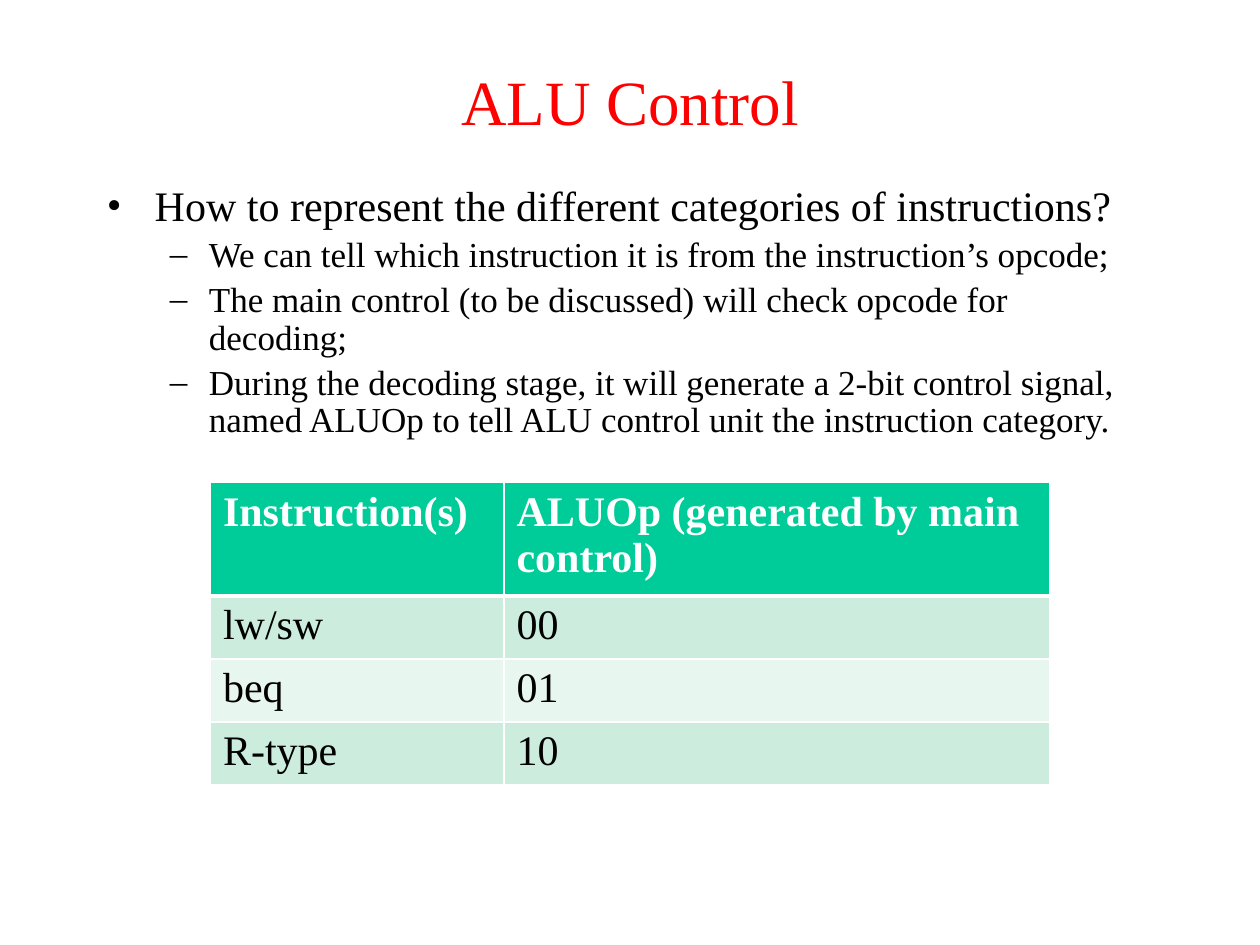
from dataclasses import dataclass

from lxml.etree import SubElement
from pptx import Presentation
from pptx.dml.color import RGBColor
from pptx.enum.text import MSO_ANCHOR, PP_ALIGN
from pptx.oxml.ns import qn
from pptx.slide import Slide
from pptx.table import _Cell
from pptx.text.text import TextFrame, _Paragraph
from pptx.util import Inches, Pt

FONT = "Times New Roman"
RED = RGBColor(0xFF, 0x00, 0x00)
BLACK = RGBColor(0x00, 0x00, 0x00)
WHITE = RGBColor(0xFF, 0xFF, 0xFF)
GREEN = RGBColor(0x00, 0xCC, 0x99)
BANDS = (RGBColor(0xE7, 0xF6, 0xEF), RGBColor(0xCC, 0xEC, 0xDE))

SLIDE_WIDTH, SLIDE_HEIGHT = Inches(10), Inches(7.5)
MARGIN = 0.075
COLUMN_SHARES = (0.233, 0.433)
HEADER_HEIGHT, ROW_HEIGHT = Inches(0.82), Inches(0.47)


@dataclass(frozen=True)
class Level:
    depth: int
    size: int
    bullet: str
    indent: float
    hanging: float


@dataclass(frozen=True)
class Point:
    level: Level
    text: str


MAIN = Level(0, 24, "•", 0.38, 0.38)
DETAIL = Level(1, 20, "–", 0.81, 0.31)

POINTS = (
    Point(MAIN, "How to represent the different categories of instructions?"),
    Point(DETAIL, "We can tell which instruction it is from the instruction’s opcode;"),
    Point(DETAIL, "The main control (to be discussed) will check opcode for decoding;"),
    Point(DETAIL, "During the decoding stage, it will generate a 2-bit control signal, "
                  "named ALUOp to tell ALU control unit the instruction category."),
)

ROWS = (
    ("Instruction(s)", "ALUOp (generated by main control)"),
    ("lw/sw", "00"),
    ("beq", "01"),
    ("R-type", "10"),
)


def add_run(paragraph: _Paragraph, text: str, size: int, color: RGBColor,
            bold: bool = False) -> None:
    run = paragraph.add_run()
    run.text = text
    run.font.name = FONT
    run.font.size = Pt(size)
    run.font.bold = bold
    run.font.color.rgb = color


def add_title(slide: Slide, text: str) -> None:
    title = slide.shapes.title
    title.left, title.top = int(SLIDE_WIDTH * MARGIN), Inches(0.42)
    title.width, title.height = int(SLIDE_WIDTH * (1 - 2 * MARGIN)), Inches(0.75)
    title.text_frame.vertical_anchor = MSO_ANCHOR.MIDDLE
    paragraph = title.text_frame.paragraphs[0]
    paragraph.alignment = PP_ALIGN.CENTER
    add_run(paragraph, text, 36, RED)


def add_point(text_frame: TextFrame, point: Point, first: bool) -> None:
    level = point.level
    paragraph = text_frame.paragraphs[0] if first else text_frame.add_paragraph()
    paragraph.level = level.depth
    paragraph.line_spacing = 0.9
    paragraph.space_before = Pt(level.size * 0.2)
    properties = paragraph._p.get_or_add_pPr()
    properties.set("marL", str(Inches(level.indent)))
    properties.set("indent", str(-Inches(level.hanging)))
    SubElement(properties, qn("a:buFont"), typeface=FONT)
    SubElement(properties, qn("a:buChar"), char=level.bullet)
    add_run(paragraph, point.text, level.size, BLACK)


def add_points(slide: Slide, points: tuple[Point, ...]) -> None:
    box = slide.shapes.add_textbox(int(SLIDE_WIDTH * MARGIN), Inches(1.42),
                                   int(SLIDE_WIDTH * (1 - 2 * MARGIN)), Inches(2.3))
    box.text_frame.word_wrap = True
    for index, point in enumerate(points):
        add_point(box.text_frame, point, index == 0)


def set_borders(cell: _Cell, widths: dict[str, int]) -> None:
    properties = cell._tc.get_or_add_tcPr()
    for side, width in widths.items():
        line = SubElement(properties, qn(f"a:ln{side}"), w=str(Pt(width)))
        fill = SubElement(line, qn("a:solidFill"))
        SubElement(fill, qn("a:srgbClr"), val=str(WHITE))


def add_instruction_table(slide: Slide, rows: tuple[tuple[str, ...], ...]) -> None:
    widths = [int(SLIDE_WIDTH * share) for share in COLUMN_SHARES]
    heights = [HEADER_HEIGHT] + [ROW_HEIGHT] * (len(rows) - 1)
    table = slide.shapes.add_table(len(rows), len(widths), (SLIDE_WIDTH - sum(widths)) // 2,
                                   Inches(3.83), sum(widths), sum(heights)).table
    for column, width in zip(table.columns, widths):
        column.width = width
    for row_index, (texts, height) in enumerate(zip(rows, heights)):
        table.rows[row_index].height = height
        header = row_index == 0
        for column_index, text in enumerate(texts):
            cell = table.cell(row_index, column_index)
            set_borders(cell, {"L": 1, "R": 1, "T": 3 if row_index == 1 else 1,
                               "B": 3 if header else 1})
            cell.fill.solid()
            cell.fill.fore_color.rgb = GREEN if header else BANDS[row_index % 2]
            add_run(cell.text_frame.paragraphs[0], text, 24,
                    WHITE if header else BLACK, header)


def main() -> None:
    presentation = Presentation()
    presentation.slide_width, presentation.slide_height = SLIDE_WIDTH, SLIDE_HEIGHT
    slide = presentation.slides.add_slide(presentation.slide_layouts[5])
    add_title(slide, "ALU Control")
    add_points(slide, POINTS)
    add_instruction_table(slide, ROWS)
    presentation.save("out.pptx")


if __name__ == "__main__":
    main()
